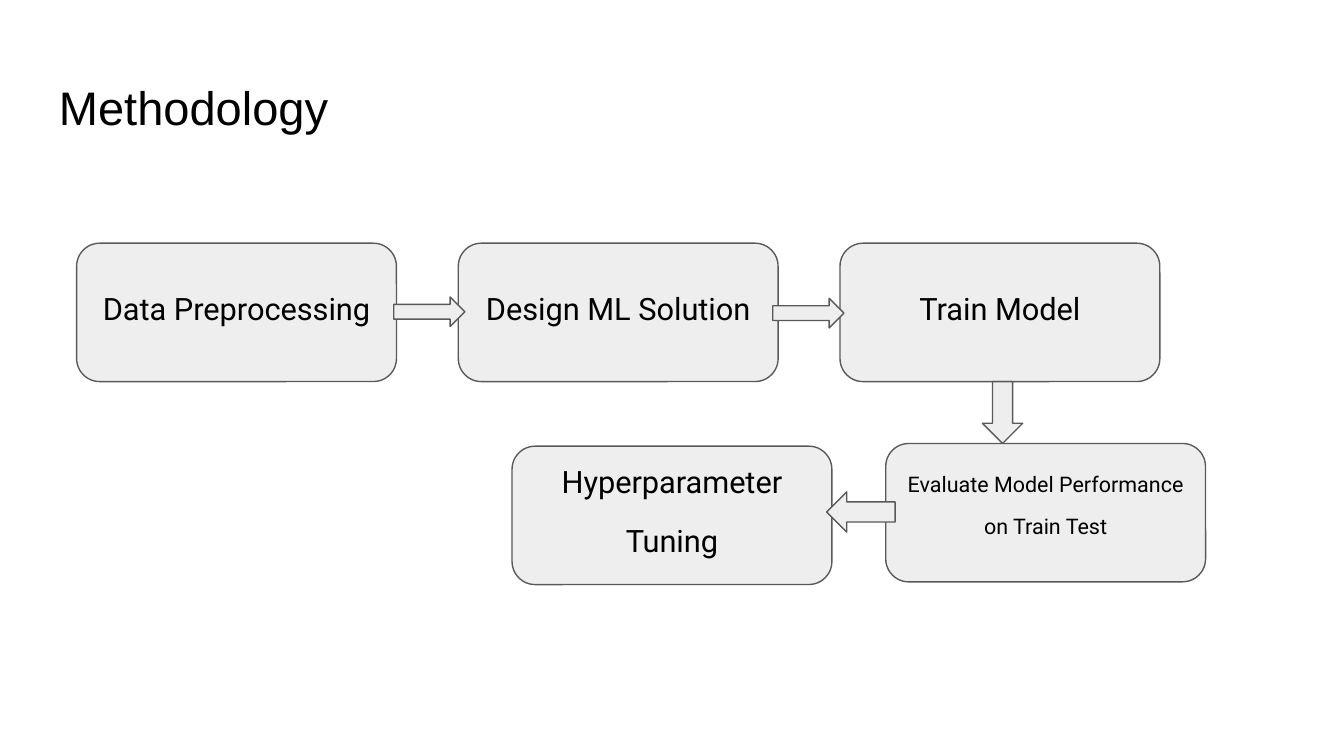
from pptx import Presentation
from pptx.dml.color import RGBColor
from pptx.enum.shapes import MSO_SHAPE
from pptx.enum.text import MSO_ANCHOR, PP_ALIGN
from pptx.util import Inches, Pt

ROUNDED = MSO_SHAPE.ROUNDED_RECTANGLE
RIGHT, DOWN, LEFT = MSO_SHAPE.RIGHT_ARROW, MSO_SHAPE.DOWN_ARROW, MSO_SHAPE.LEFT_ARROW
MIDDLE = MSO_ANCHOR.MIDDLE
CENTER = PP_ALIGN.CENTER

BLACK = RGBColor(0x00, 0x00, 0x00)
GREY_FILL = RGBColor(0xEE, 0xEE, 0xEE)
GREY_LINE = RGBColor(0x59, 0x59, 0x59)

STEP_WIDTH, STEP_HEIGHT = 2.38, 1.03
ROW_LEFT, ROW_TOP, ROW_PITCH = 0.57, 1.81, 2.84


def add_text(frame, text, font, size, top=0.1, bottom=0.1):
    """Put one run in a frame; unequal insets move the text up or down."""
    frame.word_wrap = True
    frame.vertical_anchor = MIDDLE
    frame.margin_left = frame.margin_right = Inches(0.1)
    frame.margin_top, frame.margin_bottom = Inches(top), Inches(bottom)
    para = frame.paragraphs[0]
    span = para.add_run()
    span.text = text
    span.font.name = font
    span.font.size = Pt(size)
    span.font.color.rgb = BLACK
    return para


def add_title(page, text):
    box = page.shapes.add_textbox(Inches(0.34), Inches(0.48), Inches(9.32), Inches(0.63))
    add_text(box.text_frame, text, "Arial", 25.2)


def add_grey_shape(page, kind, left, top, width, height):
    shape = page.shapes.add_shape(
        kind, Inches(left), Inches(top), Inches(width), Inches(height))
    shape.shadow.inherit = False
    shape.fill.solid()
    shape.fill.fore_color.rgb = GREY_FILL
    shape.line.color.rgb = GREY_LINE
    shape.line.width = Pt(0.75)
    return shape


def add_step(page, text, left, top, size=16.5):
    step = add_grey_shape(page, ROUNDED, left, top, STEP_WIDTH, STEP_HEIGHT)
    para = add_text(step.text_frame, text, "Roboto", size, top=0, bottom=0.23)
    para.alignment = CENTER
    para.line_spacing = 1.6


def main():
    # Widescreen page, 16:9
    deck = Presentation()
    deck.slide_width = Inches(10)
    deck.slide_height = Inches(10) * 9 // 16
    page = deck.slides.add_slide(deck.slide_layouts[6])

    add_title(page, "Methodology")

    # Upper row of steps
    upper_steps = ("Data Preprocessing", "Design ML Solution", "Train Model")
    for column, text in enumerate(upper_steps):
        add_step(page, text, ROW_LEFT + column * ROW_PITCH, ROW_TOP)

    # Lower steps
    add_step(page, "Hyperparameter Tuning", 3.81, 3.32)
    add_step(page, "Evaluate Model Performance on Train Test", 6.59, 3.3, size=11.5)

    # Arrows between steps
    for kind, left, top, width, height in (
        (RIGHT, 2.93, 2.21, 0.53, 0.22),
        (RIGHT, 5.75, 2.22, 0.53, 0.22),
        (DOWN, 7.31, 2.84, 0.3, 0.46),
        (LEFT, 6.15, 3.66, 0.51, 0.3),
    ):
        add_grey_shape(page, kind, left, top, width, height)

    deck.save("out.pptx")


if __name__ == "__main__":
    main()
